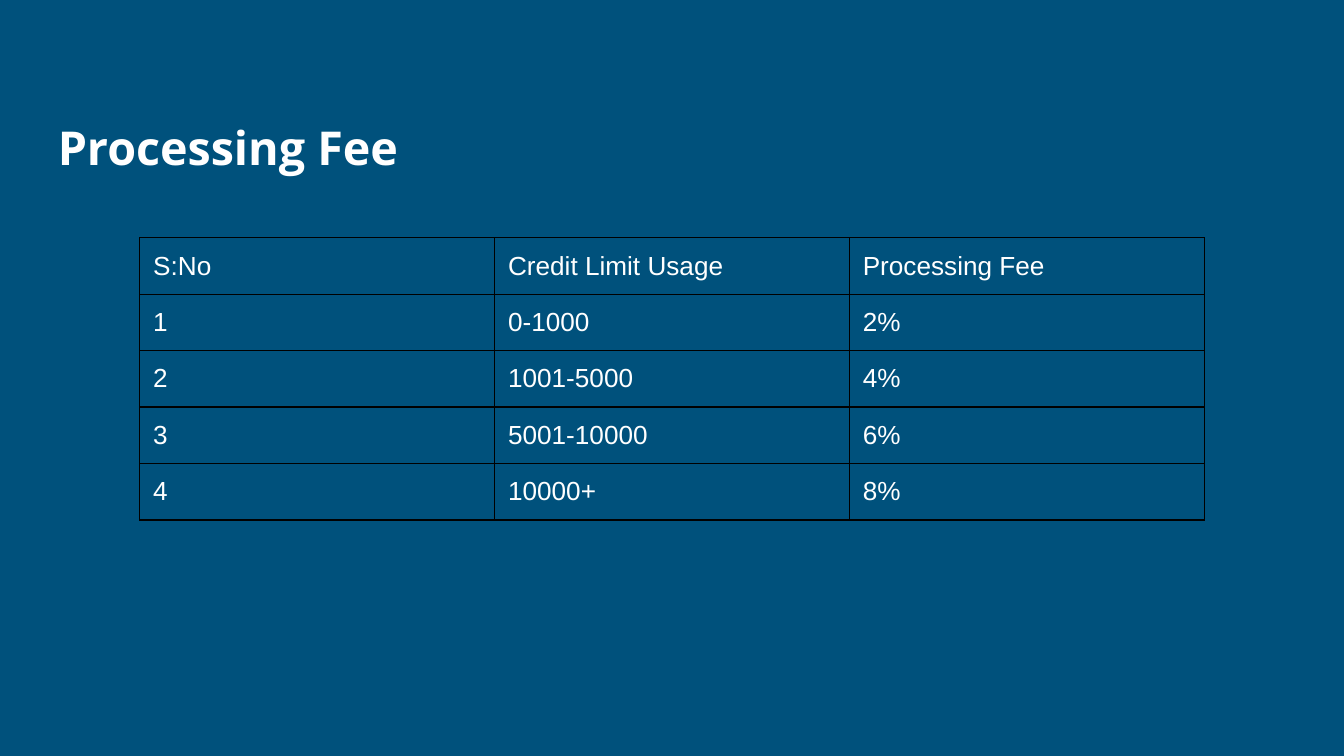
from typing import NamedTuple

from lxml import etree
from pptx import Presentation
from pptx.dml.color import RGBColor
from pptx.enum.text import MSO_ANCHOR, MSO_AUTO_SIZE, PP_ALIGN
from pptx.oxml.ns import qn
from pptx.util import Inches, Pt

LEFT = PP_ALIGN.LEFT
TOP, MIDDLE = MSO_ANCHOR.TOP, MSO_ANCHOR.MIDDLE
NO_AUTOFIT = MSO_AUTO_SIZE.NONE
TITLE_ONLY = 5

NAVY, WHITE, BLACK = "00517C", "FFFFFF", "000000"
SLIDE_W = Inches(10)
SLIDE_H = SLIDE_W * 9 // 16
MARGIN = Inches(0.1)
COL_W, ROW_H = 2.64, 0.42


class FeeTier(NamedTuple):
    number: str
    usage: str
    fee: str


TIERS = [
    FeeTier("S:No", "Credit Limit Usage", "Processing Fee"),
    FeeTier("1", "0-1000", "2%"),
    FeeTier("2", "1001-5000", "4%"),
    FeeTier("3", "5001-10000", "6%"),
    FeeTier("4", "10000+", "8%"),
]


def color(hex_value: str) -> RGBColor:
    return RGBColor.from_string(hex_value)


def write(tf, text: str, *, size: float, font: str, bold: bool = False,
          spacing: float = 1.0, gap: float = 0) -> None:
    p = tf.paragraphs[0]
    p.alignment = LEFT
    p.line_spacing = spacing
    p.space_before = p.space_after = Pt(gap)
    r = p.add_run()
    r.text = text
    r.font.size, r.font.name, r.font.bold = Pt(size), font, bold
    r.font.color.rgb = color(WHITE)


def set_margins(box) -> None:
    box.margin_left = box.margin_right = MARGIN
    box.margin_top = box.margin_bottom = MARGIN


def add_borders(cell, hex_value: str, width: float) -> None:
    tc_pr = cell._tc.get_or_add_tcPr()
    for side in ("a:lnL", "a:lnR", "a:lnT", "a:lnB"):
        ln = etree.SubElement(tc_pr, qn(side), w=str(Pt(width)))
        fill = etree.SubElement(ln, qn("a:solidFill"))
        etree.SubElement(fill, qn("a:srgbClr"), val=hex_value)


def add_title(s, text: str) -> None:
    sp = s.shapes.title
    sp.left, sp.top = Inches(0.33), Inches(0.33)
    sp.width, sp.height = Inches(4.67), Inches(1.32)
    tf = sp.text_frame
    tf.word_wrap = True
    tf.auto_size = NO_AUTOFIT
    tf.vertical_anchor = MIDDLE
    set_margins(tf)
    write(tf, text, size=25, font="Open Sans", bold=True, spacing=1.5, gap=11)


def add_fee_table(s, tiers: list[FeeTier]) -> None:
    rows, cols = len(tiers), len(FeeTier._fields)
    table = s.shapes.add_table(rows, cols, Inches(1.04), Inches(1.77),
                               Inches(COL_W * cols), Inches(ROW_H * rows)).table
    table.first_row = table.horz_banding = False
    for col in table.columns:
        col.width = Inches(COL_W)
    for row, tier in zip(table.rows, tiers):
        row.height = Inches(ROW_H)
        for cell, text in zip(row.cells, tier):
            set_margins(cell)
            cell.vertical_anchor = TOP
            add_borders(cell, BLACK, 0.75)
            cell.fill.background()
            write(cell.text_frame, text, size=14, font="Arial")


def main() -> None:
    prs = Presentation()
    prs.slide_width, prs.slide_height = SLIDE_W, SLIDE_H
    s = prs.slides.add_slide(prs.slide_layouts[TITLE_ONLY])

    # Background
    s.background.fill.solid()
    s.background.fill.fore_color.rgb = color(NAVY)

    # Heading and fee tiers
    add_title(s, "Processing Fee")
    add_fee_table(s, TIERS)

    prs.save("out.pptx")


if __name__ == "__main__":
    main()
